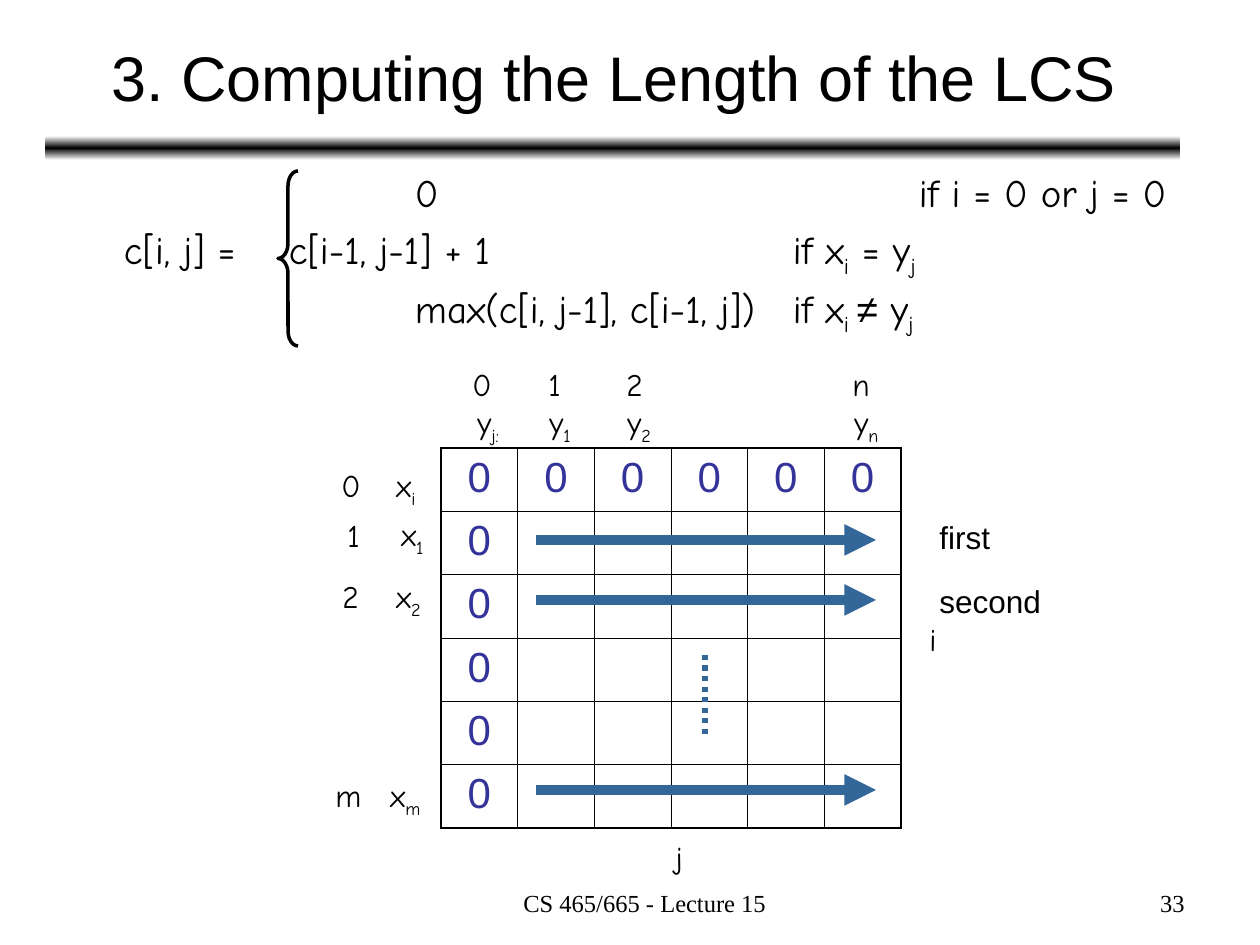
import copy

import lxml.etree
import pptx
import pptx.dml.color
import pptx.enum.dml
import pptx.enum.shapes
import pptx.enum.text
import pptx.oxml
import pptx.oxml.ns
import pptx.util

SCALE = 914400 / 126  # EMU per px
COLORS = {"black": "000000", "white": "FFFFFF", "zero": "333399", "arrow": "336699"}
RGB = {name: pptx.dml.color.RGBColor.from_string(code) for name, code in COLORS.items()}
HAND = "Comic Neue"
ALIGN = pptx.enum.text.PP_ALIGN
qn = pptx.oxml.ns.qn


def px(*lengths):
    return [round(length * SCALE) for length in lengths]


def add_text(place, paragraphs, font, size, align=ALIGN.LEFT, wrap=True):
    """Add a text box; a paragraph is a list of strings, "_" starting a subscript."""
    box = slide.shapes.add_textbox(*px(*place))
    frame = box.text_frame
    frame.word_wrap = wrap
    if not wrap:
        frame.auto_size = pptx.enum.text.MSO_AUTO_SIZE.SHAPE_TO_FIT_TEXT
    for number, pieces in enumerate(paragraphs):
        para = frame.add_paragraph() if number else frame.paragraphs[0]
        para.alignment = align
        para.font.name, para.font.size = font, pptx.util.Pt(size)
        para.font.color.rgb = RGB["black"]
        for piece in pieces:
            span = para.add_run()
            span.text = piece.removeprefix("_")
            if piece.startswith("_"):
                span.font._element.set("baseline", "-25000")
            if piece == "≠":
                span.font.name = "Arial"
                lxml.etree.SubElement(span.font._element, qn("a:ea"), typeface="Arial")
                lxml.etree.SubElement(span.font._element, qn("a:cs"), typeface="Arial")
    return frame


deck = pptx.Presentation()
deck.slide_width, deck.slide_height = px(1260, 945)
slide = deck.slides.add_slide(deck.slide_layouts[6])

# Gradient bar under the title
bar = slide.shapes.add_shape(
    pptx.enum.shapes.MSO_SHAPE.ROUNDED_RECTANGLE, *px(45, 136, 1135, 24))
bar.shadow.inherit = False
bar.line.fill.background()
bar.fill.gradient()
bar.fill.gradient_angle = 90
stop_list = next(bar._element.iter(qn("a:gsLst")))
stop_list.insert(1, copy.deepcopy(stop_list[0]))
for stop, position, color in zip(bar.fill.gradient_stops, (0, 0.5, 1),
                                 ("white", "black", "white")):
    stop.position, stop.color.rgb = position, RGB[color]

# Title
title = add_text((47, 14, 1134, 125), [["3. Computing the Length of the LCS"]],
                 "Arial", 36, ALIGN.CENTER)
title.vertical_anchor = pptx.enum.text.MSO_ANCHOR.MIDDLE

# Recurrence, with its own tab stops on each line
recurrence = add_text((48, 168, 1134, 213), [
    ["\t0\tif i = 0 or j = 0"],
    ["c[i, j] =\tc[i-1, j-1] + 1\tif x", "_i", " = y", "_j"],
    ["\tmax(c[i, j-1], c[i-1, j])\tif x", "_i ", "≠", " y", "_j"],
], HAND, 22.2)
recurrence.margin_left, recurrence.margin_right = px(76, 0)
for number, (para, stops) in enumerate(zip(
        recurrence.paragraphs, ((291, 795), (165, 669), (291, 669)))):
    para.line_spacing = 0.9
    para.space_before = pptx.util.Pt(6 if number else 0)
    tabs = pptx.oxml.parse_xml(
        '<a:tabLst xmlns:a="http://schemas.openxmlformats.org/drawingml/2006/main"/>')
    for stop in px(*stops):
        lxml.etree.SubElement(tabs, qn("a:tab"), pos=str(stop), algn="l")
    properties = para._p.get_or_add_pPr()
    properties.find(qn("a:defRPr")).addprevious(tabs)

# Brace
brace = slide.shapes.add_shape(
    pptx.enum.shapes.MSO_SHAPE.LEFT_BRACE, *px(278, 171, 20, 175))
brace.adjustments[0] = 0.75
brace.shadow.inherit = False
brace.fill.background()
brace.line.color.rgb = RGB["black"]
brace.line.width = pptx.util.Pt(2)

# Table: zeros in the first row and column, heavier outer border
SIZE = 6
table = slide.shapes.add_table(SIZE, SIZE, *px(441, 448, 460, 380)).table
table.first_row = table.horz_banding = False
for line in table.columns:
    line.width = round(460 * SCALE / SIZE)
for line in table.rows:
    line.height = round(380 * SCALE / SIZE)
for row in range(SIZE):
    for column in range(SIZE):
        cell = table.cell(row, column)
        cell.fill.background()
        para = cell.text_frame.paragraphs[0]
        para.alignment = ALIGN.CENTER
        para.font.name, para.font.size = "Arial", pptx.util.Pt(24)
        para.font.color.rgb = RGB["zero"]
        if row == 0 or column == 0:
            para.add_run().text = "0"
        outer = {"L": column == 0, "R": column == SIZE - 1,
                 "T": row == 0, "B": row == SIZE - 1}
        for order, (side, is_outer) in enumerate(outer.items()):
            border = lxml.etree.Element(
                qn("a:ln" + side), w=str(pptx.util.Pt(1.08 if is_outer else 0.45)))
            fill = lxml.etree.SubElement(border, qn("a:solidFill"))
            lxml.etree.SubElement(fill, qn("a:srgbClr"), val=COLORS["black"])
            cell._tc.get_or_add_tcPr().insert(order, border)

# Column and row labels: left, top, width, then letter and subscript
labels = [
    (465, 397, 50, "y", "_j:"), (537, 397, 50, "y", "_1"),
    (615, 397, 52, "y", "_2"), (842, 397, 52, "y", "_n"),
    (460, 359, 44, "0"), (536, 359, 38, "1"), (614, 359, 42, "2"), (840, 359, 43, "n"),
    (384, 460, 47, "x", "_i"), (389, 509, 50, "x", "_1"),
    (384, 571, 52, "x", "_2"), (378, 770, 58, "x", "_m"),
    (329, 460, 44, "0"), (335, 510, 38, "1"), (330, 571, 42, "2"), (323, 770, 50, "m"),
    (663, 832, 33, "j"), (917, 614, 32, "i"),
]
for left, top, width, *pieces in labels:
    height = 55 if len(pieces) > 1 else 50
    add_text((left, top, width, height), [pieces], HAND, 18, wrap=False)

# Row order: arrows and the dotted line between them
for x1, y1, x2, y2, width in ((705, 655, 705, 738, 3), (536, 790, 876, 790, 6),
                              (536, 540, 876, 540, 6), (536, 600, 876, 600, 6)):
    connector = slide.shapes.add_connector(
        pptx.enum.shapes.MSO_CONNECTOR.STRAIGHT, *px(x1, y1, x2, y2))
    connector.line.color.rgb = RGB["arrow"]
    connector.line.width = pptx.util.Pt(width)
    if x1 == x2:
        connector.line.dash_style = pptx.enum.dml.MSO_LINE.ROUND_DOT
    else:
        lxml.etree.SubElement(connector.line._get_or_add_ln(), qn("a:tailEnd"),
                              type="triangle")
    lxml.etree.SubElement(connector._element.spPr, qn("a:effectLst"))
for top, width, order_word in ((512, 80, "first"), (576, 132, "second")):
    add_text((927, top, width, 50), [[order_word]], "Arial", 18, wrap=False)

# Footer and slide number
footer = add_text((431, 882, 399, 44), [["CS 465/665 - Lecture 15"]],
                  "Times New Roman", 14, ALIGN.CENTER)
footer.margin_left = px(41)[0]
add_text((903, 882, 294, 44), [["33"]], "Times New Roman", 14, ALIGN.RIGHT)

deck.save("out.pptx")
